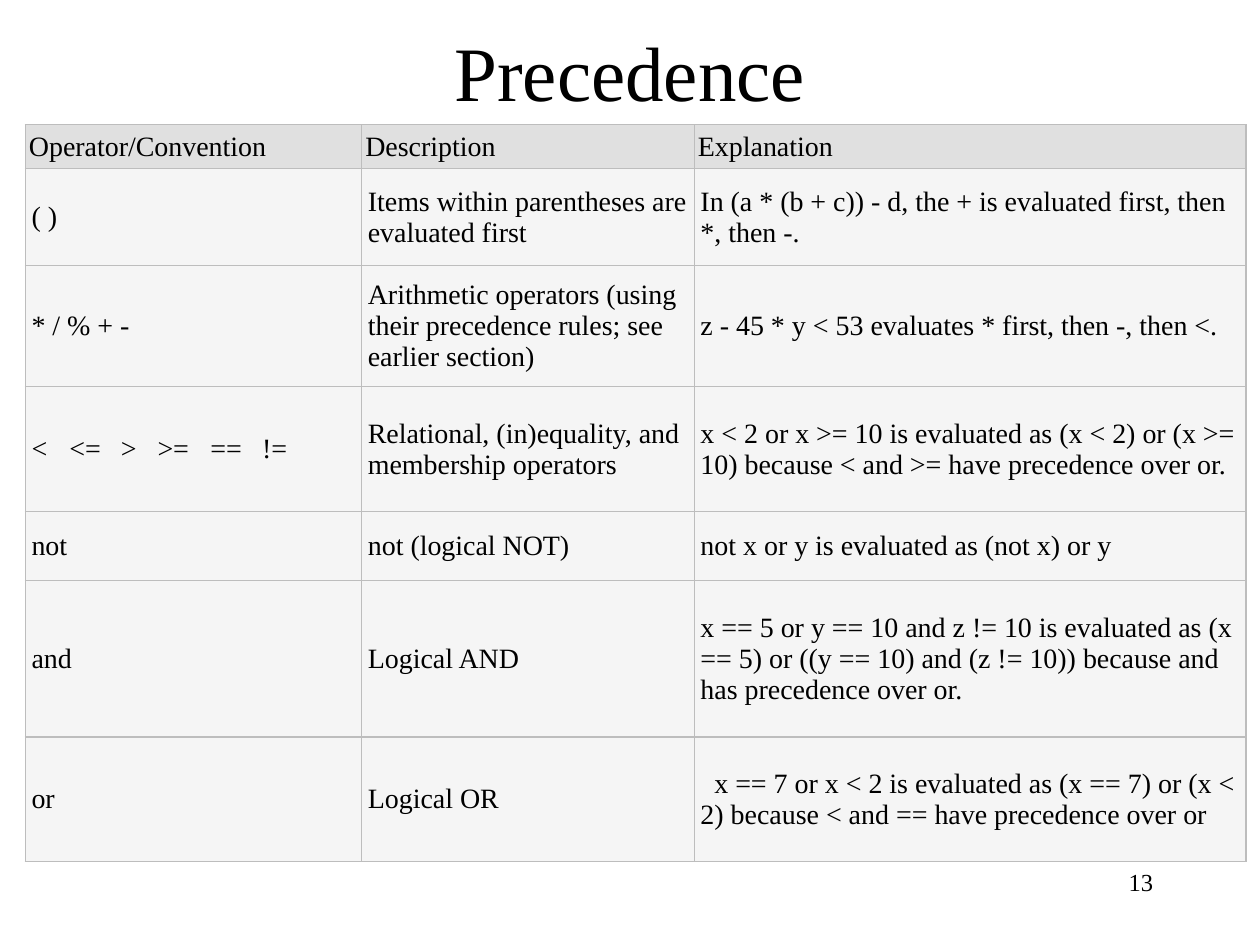
from lxml.etree import SubElement
from pptx import Presentation
from pptx.dml.color import RGBColor
from pptx.enum.text import MSO_ANCHOR, PP_ALIGN
from pptx.oxml import parse_xml
from pptx.oxml.ns import nsdecls, qn
from pptx.util import Inches, Pt

COLORS = {"text": "000000", "header": "E0E0E0", "body": "F5F5F5", "border": "BDBDBD"}
COLUMN_WIDTHS = [2.67, 2.64, 4.38]
ROW_HEIGHTS = [0.35, 0.77, 0.96, 0.99, 0.55, 1.24, 0.99]
OPERATOR_TABS = [0.3, 0.71, 1, 1.42, 1.83]
ROWS = [
    ("Operator/Convention", "Description", "Explanation"),
    ("( )", "Items within parentheses are evaluated first",
     "In (a * (b + c)) - d, the + is evaluated first, then *, then -."),
    ("* / % + -",
     "Arithmetic operators (using their precedence rules; see earlier section)",
     "z - 45 * y < 53 evaluates * first, then -, then <."),
    ("\t".join(["<", "<=", ">", ">=", "==", "!="]),
     "Relational, (in)equality, and membership operators",
     "x < 2 or x >= 10 is evaluated as (x < 2) or (x >= 10) "
     "because < and >= have precedence over or."),
    ("not", "not (logical NOT)", "not x or y is evaluated as (not x) or y"),
    ("and", "Logical AND",
     "x == 5 or y == 10 and z != 10 is evaluated as "
     "(x == 5) or ((y == 10) and (z != 10)) because and has precedence over or."),
    ("or", "Logical OR",
     "x == 7 or x < 2 is evaluated as (x == 7) or (x < 2) "
     "because < and == have precedence over or"),
]


def write_text(frame, text, size=16, align=PP_ALIGN.LEFT, indent=0, tabs=()):
    frame.word_wrap = True
    para = frame.paragraphs[0]
    para.alignment = align
    span = para.add_run()
    span.text = text
    span.font.size = Pt(size)
    span.font.name = "Times New Roman"
    span.font.color.rgb = RGBColor.from_string(COLORS["text"])
    properties = para._p.get_or_add_pPr()
    if indent:
        properties.set("indent", str(Inches(indent)))
    if tabs:
        tab_list = SubElement(properties, qn("a:tabLst"))
        for position in tabs:
            SubElement(tab_list, qn("a:tab"), pos=str(Inches(position)), algn="l")


def format_cell(cell, fill, inset):
    cell.vertical_anchor = MSO_ANCHOR.MIDDLE
    cell.margin_left = cell.margin_right = Inches(inset)
    cell.margin_top = cell.margin_bottom = Inches(inset)
    cell.fill.solid()
    cell.fill.fore_color.rgb = RGBColor.from_string(fill)
    properties = cell._tc.get_or_add_tcPr()
    for index, side in enumerate(("lnL", "lnR", "lnT", "lnB")):
        properties.insert(index, parse_xml(
            f'<a:{side} {nsdecls("a")} w="{Pt(0.75)}"><a:solidFill>'
            f'<a:srgbClr val="{COLORS["border"]}"/></a:solidFill></a:{side}>'))


deck = Presentation()
deck.slide_width, deck.slide_height = Inches(10), Inches(7.5)
page = deck.slides.add_slide(deck.slide_layouts[5])

title = page.shapes.title
title.left, title.top = Inches(0.75), Inches(0.21)
title.width, title.height = Inches(8.5), Inches(0.71)
title.text_frame.vertical_anchor = MSO_ANCHOR.MIDDLE
write_text(title.text_frame, "Precedence", size=44, align=PP_ALIGN.CENTER)

table = page.shapes.add_table(
    len(ROWS), len(COLUMN_WIDTHS), Inches(0.2), Inches(0.99),
    Inches(sum(COLUMN_WIDTHS)), Inches(sum(ROW_HEIGHTS))).table
for column, width in zip(table.columns, COLUMN_WIDTHS):
    column.width = Inches(width)
for row_index, (row, height, texts) in enumerate(zip(table.rows, ROW_HEIGHTS, ROWS)):
    row.height = Inches(height)
    is_header = row_index == 0
    for cell, text in zip(row.cells, texts):
        format_cell(cell, COLORS["header" if is_header else "body"],
                    0.03 if is_header else 0.05)
        write_text(cell.text_frame, text,
                   indent=0.11 if text.startswith("x == 7") else 0,
                   tabs=OPERATOR_TABS if "\t" in text else ())

number_box = page.shapes.add_textbox(Inches(7.17), Inches(6.83), Inches(2.08), Inches(0.5))
write_text(number_box.text_frame, "13", size=14, align=PP_ALIGN.RIGHT)

deck.save("out.pptx")
